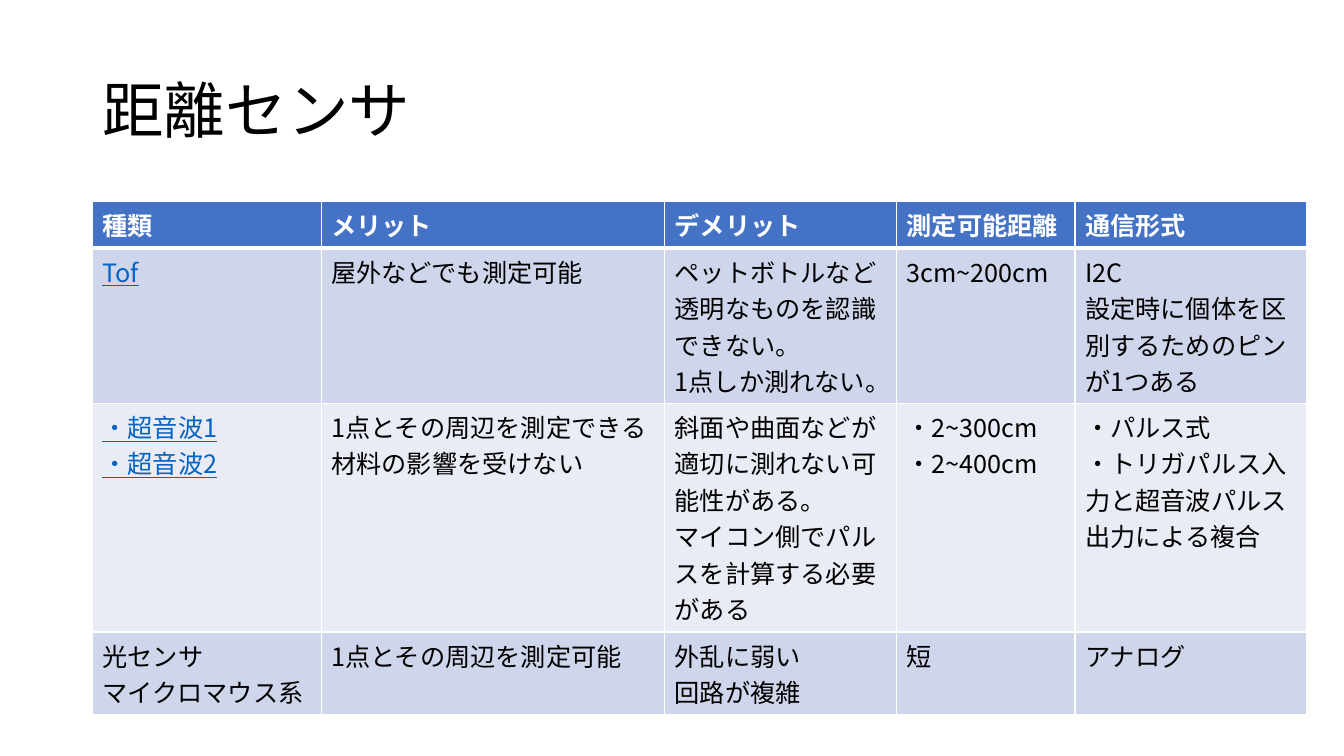
from dataclasses import dataclass

import pptx
import pptx.dml.color
import pptx.enum.text
import pptx.oxml
import pptx.oxml.ns
import pptx.util

EMU_PER_PX = 9525
FONT = "Noto Sans CJK JP"
BLACK, WHITE, LINK = "000000", "FFFFFF", "0563C1"
HEADER_FILL, ODD_FILL, EVEN_FILL = "4472C4", "CFD5EA", "E9EBF5"
COLUMN_WIDTHS = (218, 327, 221, 170, 221)
HEADER_HEIGHT = 44
HEADINGS = ("種類", "メリット", "デメリット", "測定可能距離", "通信形式")


@dataclass(frozen=True)
class Sensor:
    height: int
    kind: str
    merits: str
    demerits: str
    distance: str
    interface: str
    linked: bool = False

    def texts(self) -> tuple[str, ...]:
        return (self.kind, self.merits, self.demerits, self.distance, self.interface)


SENSORS = (
    Sensor(
        148,
        "Tof",
        "屋外などでも測定可能",
        "ペットボトルなど透明なものを認識できない。\n1点しか測れない。",
        "3cm~200cm",
        "I2C\n設定時に個体を区別するためのピンが1つある",
        linked=True,
    ),
    Sensor(
        218,
        "・超音波1\n・超音波2",
        "1点とその周辺を測定できる\n材料の影響を受けない",
        "斜面や曲面などが適切に測れない可能性がある。\nマイコン側でパルスを計算する必要がある",
        "・2~300cm\n・2~400cm",
        "・パルス式\n・トリガパルス入力と超音波パルス出力による複合",
        linked=True,
    ),
    Sensor(
        79,
        "光センサ\nマイクロマウス系",
        "1点とその周辺を測定可能",
        "外乱に弱い\n回路が複雑",
        "短",
        "アナログ",
    ),
)


def px(length: int) -> pptx.util.Emu:
    return pptx.util.Emu(length * EMU_PER_PX)


def rgb(color: str) -> pptx.dml.color.RGBColor:
    return pptx.dml.color.RGBColor.from_string(color)


def write(frame, text: str, size: int, color: str, bold: bool = False,
          underline: bool = False) -> None:
    frame.text = text
    for paragraph in frame.paragraphs:
        for run in paragraph.runs:
            font = run.font
            font.name = FONT
            font.size = pptx.util.Pt(size)
            font.bold = bold
            font.underline = underline
            font.color.rgb = rgb(color)
            east_asian = pptx.oxml.parse_xml(
                f'<a:ea {pptx.oxml.ns.nsdecls("a")} typeface="{FONT}"/>')
            run._r.rPr.find(pptx.oxml.ns.qn("a:latin")).addnext(east_asian)


def set_borders(cell, bottom_points: int) -> None:
    """Draw white borders, 1 pt wide except at the bottom."""
    properties = cell._tc.get_or_add_tcPr()
    widths = {"lnL": 1, "lnR": 1, "lnT": 1, "lnB": bottom_points}
    for position, (side, points) in enumerate(widths.items()):
        border = pptx.oxml.parse_xml(
            f'<a:{side} {pptx.oxml.ns.nsdecls("a")} w="{pptx.util.Pt(points)}">'
            f'<a:solidFill><a:srgbClr val="{WHITE}"/></a:solidFill></a:{side}>')
        properties.insert(position, border)


def fill_cell(cell, text: str, fill: str, color: str, header: bool = False,
              linked: bool = False) -> None:
    write(cell.text_frame, text, 18, color, bold=header, underline=linked)
    cell.fill.solid()
    cell.fill.fore_color.rgb = rgb(fill)
    set_borders(cell, 3 if header else 1)


def add_title(slide, text: str) -> None:
    title = slide.shapes.add_textbox(px(88), px(39), px(1104), px(139))
    frame = title.text_frame
    frame.word_wrap = True
    frame.vertical_anchor = pptx.enum.text.MSO_ANCHOR.MIDDLE
    write(frame, text, 44, BLACK)
    frame.paragraphs[0].line_spacing = 0.9


def add_sensor_table(slide) -> None:
    row_heights = (HEADER_HEIGHT, *(sensor.height for sensor in SENSORS))
    table = slide.shapes.add_table(
        len(row_heights), len(HEADINGS), px(88), px(192),
        px(sum(COLUMN_WIDTHS)), px(sum(row_heights))).table
    for column, width in zip(table.columns, COLUMN_WIDTHS):
        column.width = px(width)
    for row, height in zip(table.rows, row_heights):
        row.height = px(height)
    for column, heading in enumerate(HEADINGS):
        fill_cell(table.cell(0, column), heading, HEADER_FILL, WHITE, header=True)
    for row, sensor in enumerate(SENSORS, start=1):
        fill = ODD_FILL if row % 2 else EVEN_FILL
        for column, text in enumerate(sensor.texts()):
            linked = sensor.linked and column == 0
            fill_cell(table.cell(row, column), text, fill,
                      LINK if linked else BLACK, linked=linked)


def main() -> None:
    presentation = pptx.Presentation()
    presentation.slide_width = px(1280)
    presentation.slide_height = px(720)
    slide = presentation.slides.add_slide(presentation.slide_layouts[6])
    add_title(slide, "距離センサ")
    add_sensor_table(slide)
    presentation.save("out.pptx")


if __name__ == "__main__":
    main()
